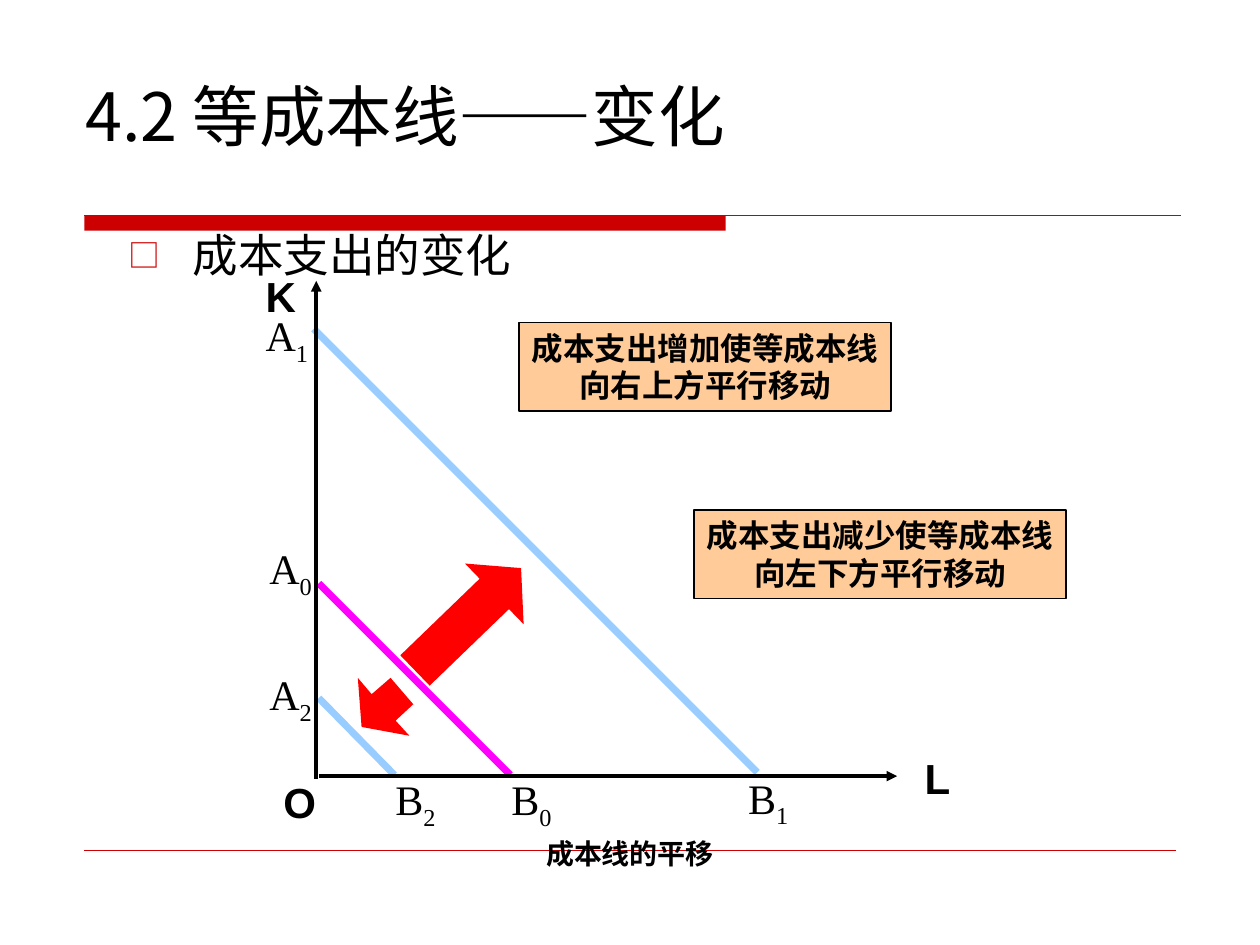
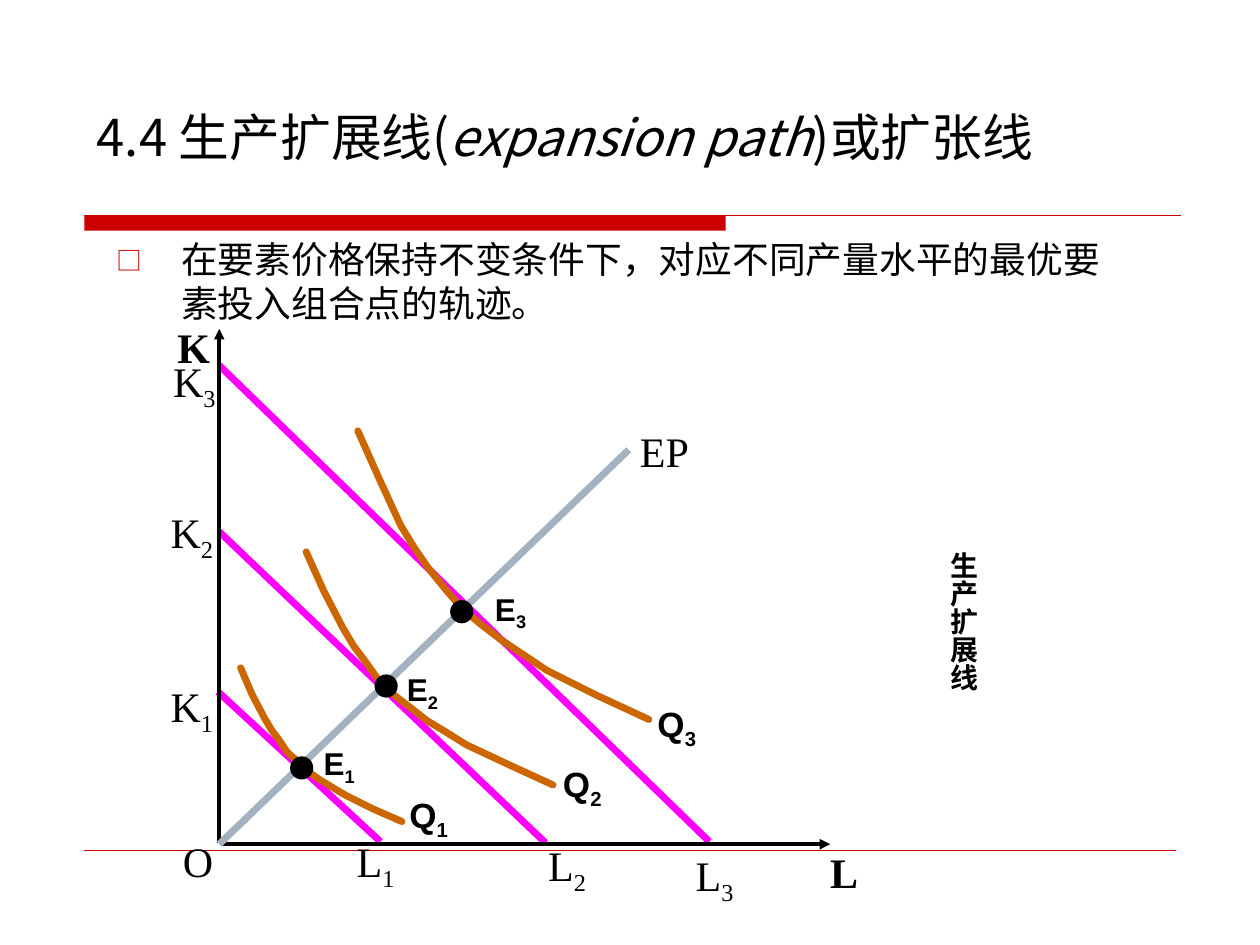
"""Builds two slides on isocost lines and the expansion path."""
from lxml import etree
from pptx import Presentation
from pptx.dml.color import RGBColor
from pptx.enum.shapes import MSO_CONNECTOR, MSO_SHAPE
from pptx.enum.text import MSO_ANCHOR, PP_ALIGN
from pptx.oxml.ns import qn
from pptx.util import Pt

PX = 9144
STRAIGHT = MSO_CONNECTOR.STRAIGHT
RECTANGLE, ELLIPSE, ARROW = MSO_SHAPE.RECTANGLE, MSO_SHAPE.OVAL, MSO_SHAPE.RIGHT_ARROW
TOP, MIDDLE = MSO_ANCHOR.TOP, MSO_ANCHOR.MIDDLE
LEFT, CENTER, RIGHT = PP_ALIGN.LEFT, PP_ALIGN.CENTER, PP_ALIGN.RIGHT
CJK, SANS, SERIF = "Noto Sans CJK SC", "Arial", "Times New Roman"
COLORS = {
    "band": "CC0000", "ink": "000000", "shifted": "99CCFF", "isocost": "FF00FF",
    "arrow": "FF0000", "note": "FFCC99", "isoquant": "CC6600", "path": "A3B2C1",
}

VARIABLE = dict(size=24, font=SERIF)
AXIS_NAME = dict(size=24, font=SANS, bold=True, wrap=False)
POINT_NAME = dict(font=SANS, bold=True)
CAPTION = dict(size=16, font=SERIF, bold=True, align=CENTER)

SHIFT = {
    "title": ("4.2 等成本线——变化", (58, 25, 875, 133), dict(size=38, anchor=MIDDLE)),
    "body": ("成本支出的变化", (92, 175, 817, 500), dict(size=26)),
    "lines": [
        ("shifted", (249, 261), (601, 613)),
        ("isocost", (253, 463), (405, 615)),
        ("shifted", (253, 554), (313, 615)),
    ],
    "axes": [((251, 618), (251, 223)), ((253, 616), (712, 616))],
    "labels": [
        (VARIABLE, (70, 56), [
            ("A_1", 201, 241), ("A_0", 204, 426), ("A_2", 204, 526),
            ("B_1", 584, 608), ("B_0", 396, 609), ("B_2", 304, 609)]),
        (AXIS_NAME, (44, 50), [("L", 724, 592), ("K", 201, 210), ("O", 215, 611)]),
    ],
    "caption": ("成本线的平移", (303, 659, 394, 37), CAPTION),
}
NOTES = [
    ("成本支出增加使等成本线\n向右上方平行移动", 412, 256),
    ("成本支出减少使等成本线\n向左下方平行移动", 551, 405),
]
INCREASE_ARROW = (313, 458, 117, 67)
DECREASE_ARROW = [(284, 538), (295, 551), (310, 538), (328, 559),
                  (314, 572), (325, 584), (287, 577)]

EXPANSION = {
    "title": ("4.4 生产扩展线(*expansion path*)或扩张线", (67, 67, 875, 133),
              dict(size=29, insets=(10, 17))),
    "body": ("在要素价格保持不变条件下，对应不同产量水平的最优要素投入组合点的轨迹。",
             (83, 183, 817, 500), dict(size=21)),
    "lines": [
        ("isocost", (174, 290), (563, 668)),
        ("isocost", (174, 422), (433, 669)),
        ("isocost", (173, 549), (302, 668)),
    ],
    "axes": [((174, 669), (174, 261)), ((175, 670), (659, 670))],
    "labels": [
        (dict(VARIABLE, align=RIGHT), (56, 55), [
            ("K_1", 123, 535), ("K_2", 123, 397), ("K_3", 125, 277), ("O", 123, 658),
            ("L_1", 267, 658), ("L_2", 419, 661), ("L_3", 536, 669)]),
        (dict(VARIABLE, bold=True, wrap=False), (42, 50), [("L", 649, 667)]),
        (dict(VARIABLE, bold=True, align=RIGHT), (36, 50), [("K", 131, 250)]),
        (dict(VARIABLE, wrap=False), (59, 50), [("EP", 498, 333)]),
        (dict(POINT_NAME, size=20), (60, 48), [
            ("Q_1", 315, 625), ("Q_2", 437, 600), ("Q_3", 512, 553)]),
        (dict(POINT_NAME, size=18), (51, 44), [
            ("E_1", 247, 586), ("E_2", 313, 527), ("E_3", 383, 463)]),
    ],
    "caption": ("生产扩展线", (737, 343, 46, 307),
                dict(CAPTION, vertical=True, insets=(5, 95))),
}
EXPANSION_PATH = ("path", (174, 670), (499, 357))
ISOQUANTS = [
    [(191, 530), (200, 551), (210, 570), (216, 580), (222, 588), (228, 597), (236, 604),
     (244, 612), (254, 619), (264, 625), (274, 631), (296, 642), (319, 652)],
    [(243, 438), (257, 469), (272, 498), (281, 513), (290, 525), (300, 539), (312, 551),
     (325, 561), (339, 572), (354, 581), (370, 591), (404, 607), (439, 623)],
    [(284, 342), (301, 380), (318, 417), (329, 435), (340, 451), (353, 467), (366, 482),
     (381, 495), (398, 508), (434, 532), (474, 552), (515, 571)],
]
EQUILIBRIA = [(231, 601), (298, 536), (358, 477)]
DOT = 17


def color(name):
    return RGBColor.from_string(COLORS[name])


def emu(*lengths):
    return [length * PX for length in lengths]


def add_line(slide, name, start, end, width=4, arrow=False):
    connector = slide.shapes.add_connector(STRAIGHT, *emu(*start, *end))
    connector.line.color.rgb = color(name)
    connector.line.width = Pt(width)
    properties = connector.element.spPr
    if arrow:
        etree.SubElement(properties.find(qn("a:ln")), qn("a:tailEnd"), type="triangle")
    etree.SubElement(properties, qn("a:effectLst"))


def paint(shape, fill=None, line=None, width=1):
    shape.shadow.inherit = False
    if fill:
        shape.fill.solid()
        shape.fill.fore_color.rgb = color(fill)
    else:
        shape.fill.background()
    if line:
        shape.line.color.rgb = color(line)
        shape.line.width = Pt(width)
    else:
        shape.line.fill.background()
    return shape


def add_preset(slide, preset, box, **look):
    return paint(slide.shapes.add_shape(preset, *emu(*box)), **look)


def add_outline(slide, points, close, **look):
    builder = slide.shapes.build_freeform(*points[0], scale=PX)
    builder.add_line_segments(points[1:], close=close)
    return paint(builder.convert_to_shape(), **look)


def add_bullet(paragraph):
    properties = paragraph._p.get_or_add_pPr()
    properties.set("marL", str(51 * PX))
    properties.set("indent", str(-51 * PX))
    tint = etree.SubElement(properties, qn("a:buClr"))
    etree.SubElement(tint, qn("a:srgbClr"), val=COLORS["band"])
    etree.SubElement(properties, qn("a:buSzPct"), val="70000")
    etree.SubElement(properties, qn("a:buFont"), typeface=CJK)
    etree.SubElement(properties, qn("a:buChar"), char="□")


def add_run(paragraph, text, size, font, bold, italic, subscript):
    run = paragraph.add_run()
    run.text = text
    run.font.size = Pt(size)
    run.font.bold = bold
    run.font.italic = italic
    run.font.name = font
    run.font.color.rgb = color("ink")
    properties = run._r.get_or_add_rPr()
    etree.SubElement(properties, qn("a:ea"), typeface=CJK)
    if subscript:
        properties.set("baseline", "-25000")


def write(shape, text, size, font=CJK, bold=False, align=LEFT, anchor=TOP, wrap=True,
          insets=(10, 5), bullet=False, vertical=False):
    """Fills a shape; *stars* mark italics and an underscore starts a subscript."""
    frame = shape.text_frame
    frame.word_wrap = wrap
    frame.vertical_anchor = anchor
    frame.margin_left = frame.margin_right = insets[0] * PX
    frame.margin_top = frame.margin_bottom = insets[1] * PX
    if vertical:
        shape.element.txBody.bodyPr.set("vert", "eaVert")
    for number, line in enumerate(text.split("\n")):
        paragraph = frame.add_paragraph() if number else frame.paragraphs[0]
        paragraph.alignment = align
        if bullet:
            add_bullet(paragraph)
        for turn, piece in enumerate(line.split("*")):
            for level, part in enumerate(piece.split("_")):
                add_run(paragraph, part, size, font, bold, turn % 2 == 1, level == 1)


def add_text(slide, text, box, **text_format):
    write(slide.shapes.add_textbox(*emu(*box)), text, **text_format)


def start_slide(presentation, content):
    slide = presentation.slides.add_slide(presentation.slide_layouts[6])
    add_preset(slide, RECTANGLE, (67, 171, 509, 12), fill="band")
    add_line(slide, "band", (67, 171), (937, 171), width=1)
    add_line(slide, "band", (67, 675), (933, 675), width=0.25)
    title, box, text_format = content["title"]
    add_text(slide, title, box, **text_format)
    body, box, text_format = content["body"]
    add_text(slide, body, box, bullet=True, **text_format)
    for line in content["lines"]:
        add_line(slide, *line)
    for start, end in content["axes"]:
        add_line(slide, "ink", start, end, width=2, arrow=True)
    return slide


def add_labels(slide, content):
    for text_format, size, labels in content["labels"]:
        for text, left, top in labels:
            add_text(slide, text, (left, top, *size), **text_format)
    caption, box, text_format = content["caption"]
    add_text(slide, caption, box, **text_format)


def build_shift(presentation):
    slide = start_slide(presentation, SHIFT)
    arrow = add_preset(slide, ARROW, INCREASE_ARROW, fill="arrow")
    arrow.adjustments[1] = 0.44
    arrow.rotation = 316
    add_outline(slide, DECREASE_ARROW, True, fill="arrow")
    for text, left, top in NOTES:
        note = add_preset(slide, RECTANGLE, (left, top, 295, 70), fill="note", line="ink")
        write(note, text, size=18, font=SANS, bold=True, align=CENTER, wrap=False)
    add_labels(slide, SHIFT)


def build_expansion(presentation):
    slide = start_slide(presentation, EXPANSION)
    add_line(slide, *EXPANSION_PATH)
    for points in ISOQUANTS:
        curve = add_outline(slide, points, False, line="isoquant", width=4)
        curve.element.spPr.find(qn("a:ln")).set("cap", "rnd")
    for left, top in EQUILIBRIA:
        add_preset(slide, ELLIPSE, (left, top, DOT, DOT), fill="ink", line="ink")
    add_labels(slide, EXPANSION)


def main():
    presentation = Presentation()
    presentation.slide_width, presentation.slide_height = emu(1000, 750)
    build_shift(presentation)
    build_expansion(presentation)
    presentation.save("out.pptx")


if __name__ == "__main__":
    main()
